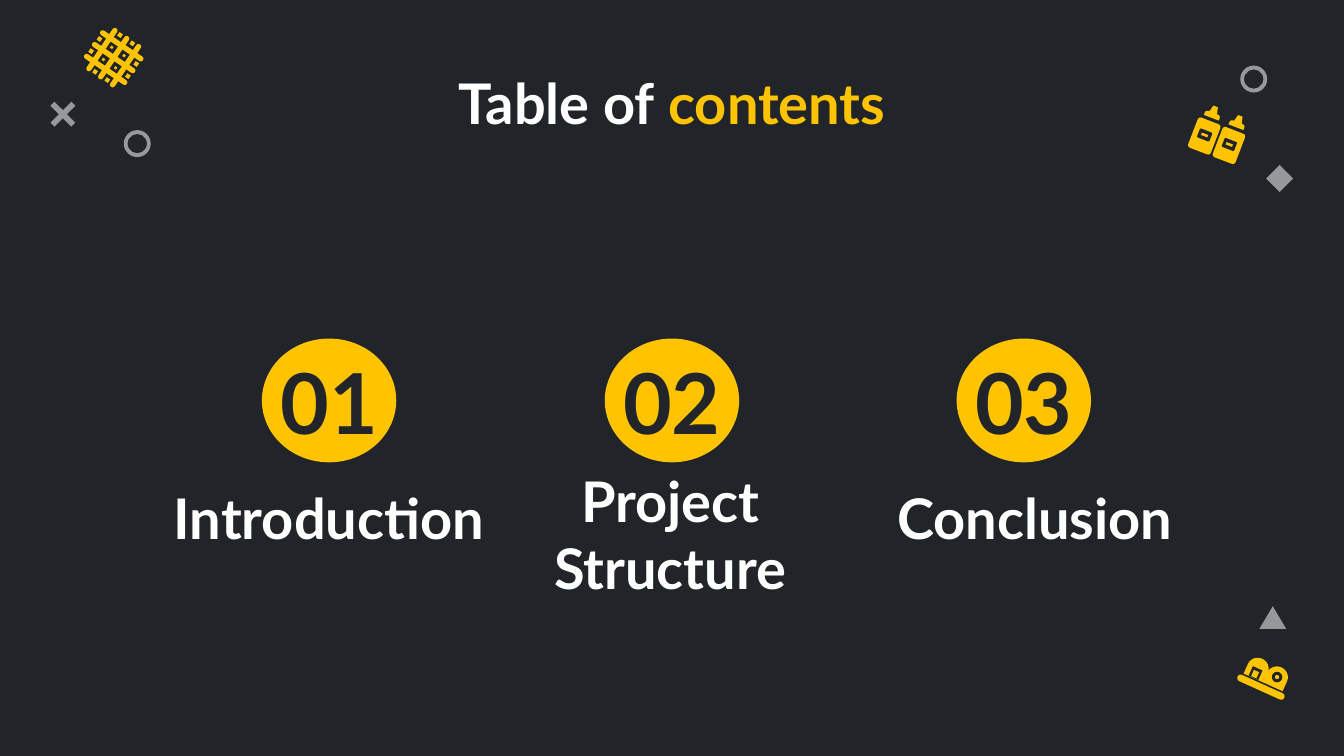
from math import cos, radians, sin

from lxml import etree
from pptx import Presentation
from pptx.dml.color import RGBColor
from pptx.enum.shapes import MSO_SHAPE as S
from pptx.enum.text import MSO_ANCHOR, PP_ALIGN
from pptx.oxml.ns import qn
from pptx.util import Cm, Pt

DARK = RGBColor(0x21, 0x25, 0x29)
YELLOW = RGBColor(0xFF, 0xC3, 0x00)
WHITE = RGBColor(0xFF, 0xFF, 0xFF)
FONT = "Lato"

# All lengths are in centimetres.
TITLE = [("Table of", WHITE), (" contents", YELLOW)]
TITLE_BOX = (5.41, 1.04, 14.58, 1.32)

# number, circle left, label, label left, label width, label height
SECTIONS = [
    ("01", 4.95, "Introduction", 2.79, 6.86, 1.65),
    ("02", 11.43, "Project Structure", 9.7, 5.94, 2.59),
    ("03", 18.08, "Conclusion", 16.59, 5.94, 1.65),
]
CIRCLE_TOP, CIRCLE_W, CIRCLE_H = 6.4, 2.54, 2.34
NUMBER_H = 1.8
LABEL_TOP = 9.02

# preset, left, top, width, height, adjustment
ORNAMENTS = [
    (S.DONUT, 23.44, 1.24, 0.51, 0.51, 0.142),
    (S.MATH_MULTIPLY, 0.81, 1.78, 0.76, 0.76, 0.143),
    (S.ISOSCELES_TRIANGLE, 23.8, 11.46, 0.51, 0.43, 0.5),
    (S.DIAMOND, 23.93, 3.12, 0.51, 0.51, None),
    (S.DONUT, 2.34, 2.46, 0.51, 0.51, 0.142),
]

# Icon parts: preset, centre x and y from the icon's centre, width, height, colour
SIDES = (-1, 1)
GRILL = [
    part
    for gap in (-0.27, 0, 0.27)
    for part in (
        (S.ROUNDED_RECTANGLE, 0, gap, 0.97, 0.1, YELLOW),
        (S.ROUNDED_RECTANGLE, gap, 0, 0.1, 0.97, YELLOW),
    )
] + [
    (S.RECTANGLE, x * a, y * b, size, size, YELLOW)
    for a, b, size in ((0.14, 0.14, 0.05), (0.14, 0.42, 0.08), (0.42, 0.14, 0.08))
    for x in SIDES
    for y in SIDES
]
BOTTLES = [
    (preset, side * 0.25, y, w, h, color)
    for side in SIDES
    for preset, y, w, h, color in (
        (S.ROUNDED_RECTANGLE, 0.13, 0.46, 0.61, YELLOW),
        (S.ROUNDED_RECTANGLE, 0.11, 0.25, 0.18, DARK),
        (S.RECTANGLE, 0.11, 0.13, 0.05, YELLOW),
        (S.ROUND_2_SAME_RECTANGLE, -0.29, 0.3, 0.1, YELLOW),
        (S.TRAPEZOID, -0.4, 0.16, 0.14, YELLOW),
    )
]
SUSHI = [
    (S.ROUNDED_RECTANGLE, 0, 0, 0.97, 0.13, YELLOW),
    (S.ROUND_2_SAME_RECTANGLE, -0.2, -0.3, 0.41, 0.4, YELLOW),
    (S.RECTANGLE, -0.2, -0.2, 0.2, 0.2, DARK),
    (S.RECTANGLE, -0.2, -0.18, 0.11, 0.13, YELLOW),
    (S.ROUND_2_SAME_RECTANGLE, 0.2, -0.3, 0.41, 0.4, YELLOW),
    (S.OVAL, 0.2, -0.3, 0.2, 0.2, DARK),
    (S.OVAL, 0.2, -0.3, 0.08, 0.08, YELLOW),
]
# parts, centre x, centre y, rotation in degrees
ICONS = [
    (SUSHI, 23.83, 12.99, 24.3),
    (GRILL, 2.15, 1.09, 34.2),
    (BOTTLES, 23.04, 2.54, 21),
]


def add_shape(slide, preset, x, y, w, h, color):
    sp = slide.shapes.add_shape(preset, Cm(x), Cm(y), Cm(w), Cm(h))
    sp.shadow.inherit = False
    sp.fill.solid()
    sp.fill.fore_color.rgb = color
    sp.line.fill.background()
    return sp


def add_ornament(slide, preset, x, y, w, h, adjustment):
    """Add a half-transparent white shape."""
    sp = add_shape(slide, preset, x, y, w, h, WHITE)
    if adjustment is not None:
        sp.adjustments[0] = adjustment
    color = sp.fill._xPr.find(".//" + qn("a:srgbClr"))
    etree.SubElement(color, qn("a:alpha"), val="53000")


def add_icon(slide, parts, cx, cy, angle):
    """Turn every part about the icon's centre."""
    c, s = cos(radians(angle)), sin(radians(angle))
    for preset, dx, dy, w, h, color in parts:
        x = cx + dx * c - dy * s - w / 2
        y = cy + dx * s + dy * c - h / 2
        sp = add_shape(slide, preset, x, y, w, h, color)
        sp.rotation = angle
        if preset in (S.ROUNDED_RECTANGLE, S.ROUND_2_SAME_RECTANGLE):
            sp.adjustments[0] = 0.5 if min(w, h) < 0.15 or h == 0.4 else 0.12


def add_text(slide, box, runs, size, anchor):
    tf = slide.shapes.add_textbox(*map(Cm, box)).text_frame
    tf.word_wrap = True
    tf.vertical_anchor = anchor
    tf.margin_left = tf.margin_right = tf.margin_top = tf.margin_bottom = Cm(0.25)
    p = tf.paragraphs[0]
    p.alignment = PP_ALIGN.CENTER
    p.font.name, p.font.size, p.font.bold = FONT, Pt(size), True
    for text, color in runs:
        r = p.add_run()
        r.text = text
        r.font.color.rgb = color


def main():
    prs = Presentation()
    prs.slide_width, prs.slide_height = Cm(25.4), Cm(14.29)
    slide = prs.slides.add_slide(prs.slide_layouts[6])
    slide.background.fill.solid()
    slide.background.fill.fore_color.rgb = DARK

    for icon in ICONS:
        add_icon(slide, *icon)
    for ornament in ORNAMENTS:
        add_ornament(slide, *ornament)

    add_text(slide, TITLE_BOX, TITLE, 30, MSO_ANCHOR.TOP)
    number_top = CIRCLE_TOP + (CIRCLE_H - NUMBER_H) / 2
    for number, x, label, label_x, label_w, label_h in SECTIONS:
        add_shape(slide, S.OVAL, x, CIRCLE_TOP, CIRCLE_W, CIRCLE_H, YELLOW)
        add_text(slide, (x, number_top, CIRCLE_W, NUMBER_H),
                 [(number, DARK)], 45, MSO_ANCHOR.MIDDLE)
        add_text(slide, (label_x, LABEL_TOP, label_w, label_h),
                 [(label, WHITE)], 30, MSO_ANCHOR.BOTTOM)

    prs.save("out.pptx")


if __name__ == "__main__":
    main()
